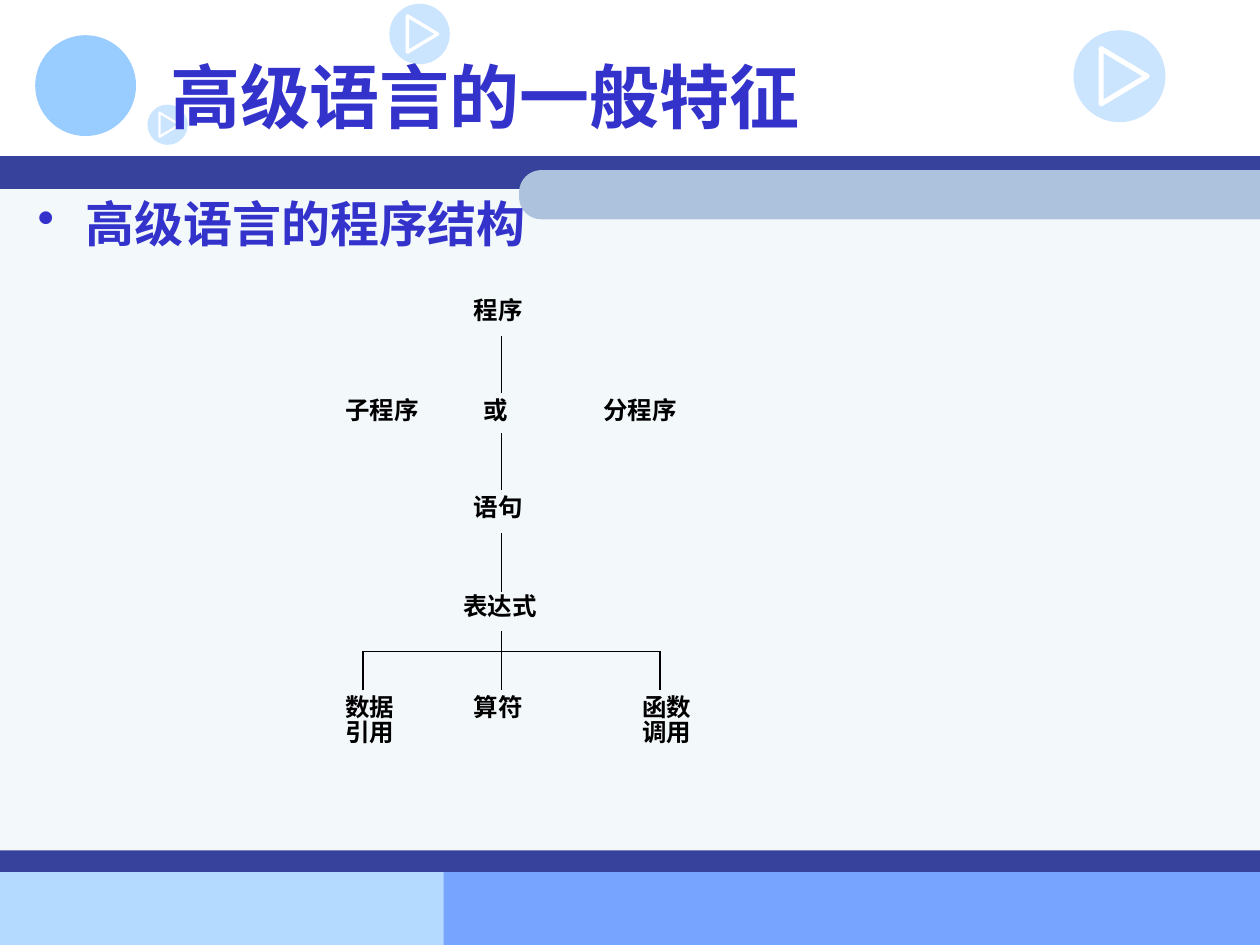
from lxml.etree import SubElement as Sub
from pptx import Presentation
from pptx.dml.color import RGBColor as Rgb
from pptx.enum.shapes import MSO_CONNECTOR as Conn, MSO_SHAPE as Kind
from pptx.enum.text import MSO_ANCHOR as Anchor, PP_ALIGN as Align
from pptx.oxml.ns import qn
from pptx.util import Inches, Pt

COLORS = {
    "blue": "3333CC", "navy": "36429B", "sky": "99CCFF", "pale": "F3F8FB",
    "steel": "ADC3DD", "light": "B5DAFF", "mid": "77A4FF",
    "white": "FFFFFF", "black": "000000",
}
FONT = "Noto Sans CJK SC"
AXIS = 3.98
BUS = 5.17
ROW = 5.48


def rgb(name):
    return Rgb.from_string(COLORS[name])


def add_block(slide, kind, box, color):
    shape = slide.shapes.add_shape(kind, *map(Inches, box))
    shape.shadow.inherit = False
    shape.fill.solid()
    shape.fill.fore_color.rgb = rgb(color)
    shape.line.fill.background()
    return shape


def add_tab(slide, box, color):
    x, y, w, h = box
    turned = (x + (w - h) / 2, y + (h - w) / 2, h, w)
    tab = add_block(slide, Kind.ROUND_2_SAME_RECTANGLE, turned, color)
    tab.rotation = 270
    tab.adjustments[0] = 0.45
    tab.adjustments[1] = 0


def add_play(slide, x, y, size):
    disc = add_block(slide, Kind.OVAL, (x, y, size, size), "sky")
    hue = disc.fill._xPr.find(qn("a:solidFill"))[0]
    Sub(hue, qn("a:alpha"), val="50000")
    left, top = x + 0.3 * size, y + 0.2 * size
    build = slide.shapes.build_freeform(Inches(left), Inches(top), 1)
    points = [(left + 0.5 * size, y + 0.5 * size), (left, y + 0.8 * size)]
    build.add_line_segments([tuple(map(Inches, p)) for p in points], close=True)
    mark = build.convert_to_shape()
    mark.shadow.inherit = False
    mark.fill.background()
    mark.line.color.rgb = rgb("white")
    mark.line.width = Pt(4 * size)
    Sub(mark.line._get_or_add_ln(), qn("a:round"))


def add_run(para, text, size, color, face=FONT):
    run = para.add_run()
    run.text = text
    font = run.font
    font.size = Pt(size)
    font.bold = True
    font.name = face
    font.color.rgb = rgb(color)
    Sub(run._r.get_or_add_rPr(), qn("a:ea"), typeface=FONT)


def add_title(slide, text):
    title = slide.shapes.title
    title.left, title.top = Inches(1.25), Inches(0.17)
    title.width, title.height = Inches(8.5), Inches(1.17)
    title.text_frame.vertical_anchor = Anchor.MIDDLE
    para = title.text_frame.paragraphs[0]
    para.alignment = Align.LEFT
    add_run(para, text, 40, "blue")
    slide.shapes._spTree.append(title._element)


def add_text(slide, box, spacing):
    shape = slide.shapes.add_textbox(*map(Inches, box))
    shape.text_frame.word_wrap = True
    para = shape.text_frame.paragraphs[0]
    para.line_spacing = spacing
    return shape, para


def add_point(slide, box, text):
    para = add_text(slide, box, 0.9)[1]
    props = para._p.get_or_add_pPr()
    props.set("marL", str(Inches(0.38)))
    props.set("indent", str(Inches(-0.38)))
    tint = Sub(props, qn("a:buClr"))
    Sub(tint, qn("a:srgbClr"), val=COLORS["blue"])
    Sub(props, qn("a:buChar"), char="•")
    add_run(para, text, 28, "blue", "Times New Roman")


def add_label(slide, text, x, y, w=0.64, h=0.34):
    shape, para = add_text(slide, (x, y, w, h), 0.85)
    add_run(para, text, 14, "black")
    return shape


def add_line(slide, start, end, head=None, tail=None):
    line = slide.shapes.add_connector(Conn.STRAIGHT, *map(Inches, start + end))
    line.line.color.rgb = rgb("black")
    line.line.width = Pt(1)
    Sub(line._element.spPr, qn("a:effectLst"))
    if head:
        line.begin_connect(head, 2)
    if tail:
        line.end_connect(tail, 0)


def add_frame(slide):
    bars = [
        ((0, 6.92, 4.25, 0.58), "light"),
        ((3.52, 6.91, 6.48, 0.59), "mid"),
        ((0, 1.4, 10, 5.51), "pale"),
        ((0, 1.24, 10, 0.26), "navy"),
        ((0, 6.75, 10, 0.17), "navy"),
    ]
    for box, color in bars:
        add_block(slide, Kind.RECTANGLE, box, color)
    add_tab(slide, (4.12, 1.35, 5.88, 0.39), "steel")
    add_block(slide, Kind.OVAL, (0.28, 0.28, 0.8, 0.8), "sky")
    for spot in [(3.09, 0.03, 0.48), (8.52, 0.24, 0.73), (1.17, 0.83, 0.32)]:
        add_play(slide, *spot)


def add_tree(slide):
    root = add_label(slide, "程序", 3.66, 2.33)
    add_label(slide, "子程序", 2.64, 3.12, 0.86)
    add_label(slide, "或", 3.74, 3.12)
    add_label(slide, "分程序", 4.69, 3.12, 0.8)
    stmt = add_label(slide, "语句", 3.66, 3.89)
    add_label(slide, "表达式", 3.58, 4.68, 0.87)
    add_label(slide, "数据引用", 2.64, ROW, h=0.57)
    sign = add_label(slide, "算符", 3.66, ROW)
    add_label(slide, "函数调用", 5, ROW, h=0.57)

    trunk = [
        (2.65, 3.12, root, None), (3.44, 3.91, None, stmt),
        (4.22, 4.7, stmt, None), (5.01, ROW, None, sign),
    ]
    for top, end, head, tail in trunk:
        add_line(slide, (AXIS, top), (AXIS, end), head, tail)
    sides = (2.88, 5.24)
    for x in sides:
        add_line(slide, (x, ROW), (x, BUS))
    add_line(slide, (sides[0], BUS), (sides[1], BUS))


def main():
    deck = Presentation()
    deck.slide_width, deck.slide_height = Inches(10), Inches(7.5)
    slide = deck.slides.add_slide(deck.slide_layouts[5])
    add_frame(slide)
    add_title(slide, "高级语言的一般特征")
    add_point(slide, (0.2, 1.54, 9.61, 4.96), "高级语言的程序结构")
    add_tree(slide)
    deck.save("out.pptx")


if __name__ == "__main__":
    main()
